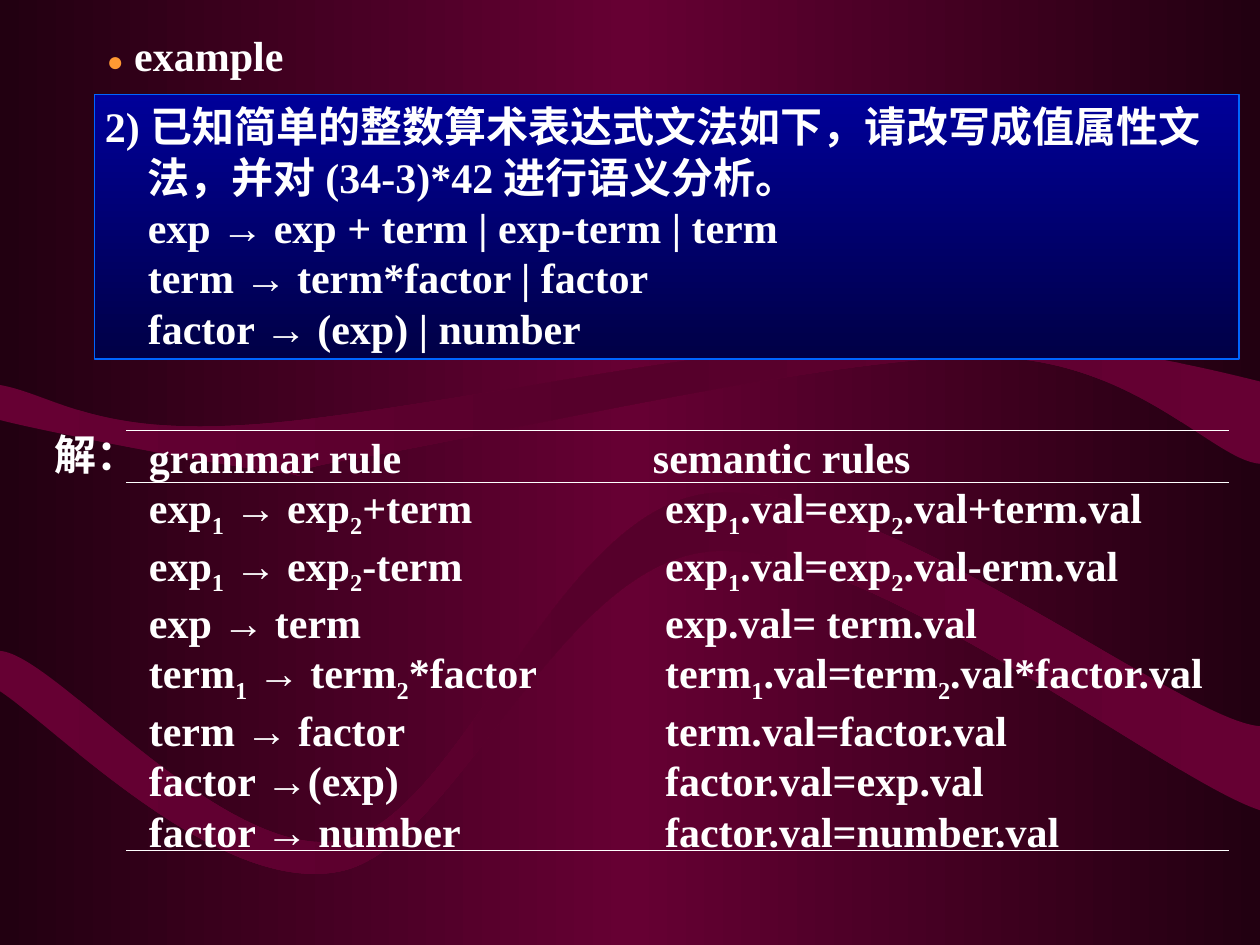
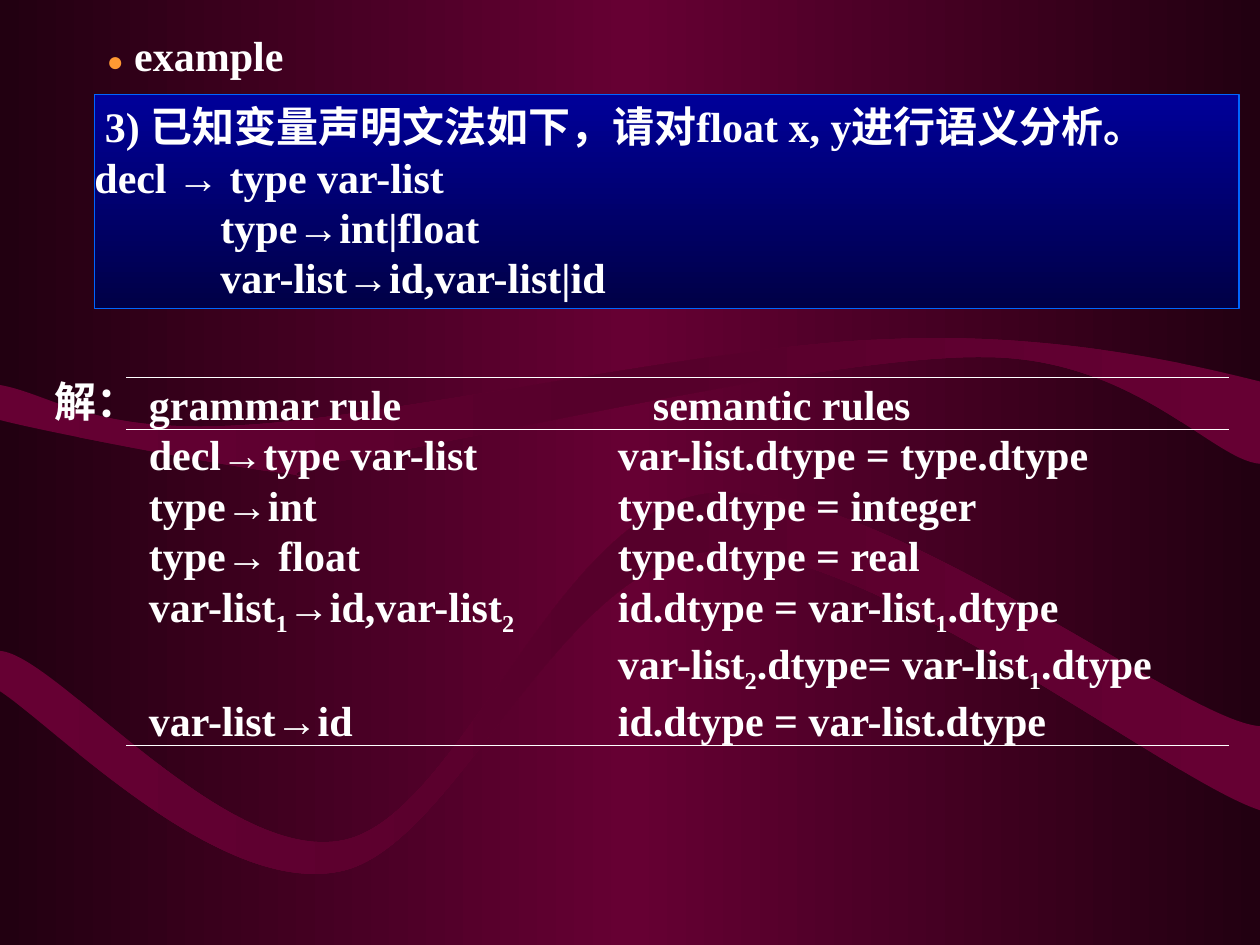
"""Build two slides of worked examples on attribute grammars."""
from itertools import groupby

from lxml import etree
from pptx import Presentation
from pptx import util as u
from pptx.dml.color import RGBColor
from pptx.enum import shapes, text
from pptx.oxml.ns import qn

COLORS = {
    "edge": "220011", "wine": "660033", "band": "56002B", "white": "FFFFFF",
    "bullet": "FF9933", "box_top": "000099", "box_bottom": "000046", "box_line": "0066FF",
}
FONT = "Times New Roman"
KINDS = {"₁": "sub", "₂": "sub", "→": "arrow", "●": "bullet"}
BAND_EDGES = [
    [
        [(0, 240), (27, 247), (126, 266), (160, 270), (194, 274), (137, 273), (203, 262),
         (270, 251), (475, 203), (562, 204), (648, 204), (693, 263), (720, 265)],
        [(720, 218), (684, 209), (602, 189), (505, 194), (408, 197), (221, 239), (137, 243),
         (53, 248), (29, 225), (0, 220)],
    ],
    [
        [(0, 395), (32, 416), (125, 512), (194, 498), (261, 485), (319, 321), (407, 315),
         (495, 309), (667, 446), (720, 463)],
        [(720, 415), (675, 412), (498, 271), (405, 282), (318, 292), (264, 465), (197, 480),
         (129, 495), (32, 374), (0, 372)],
    ],
]
EXAMPLES = [
    {
        "question": [
            ("2) 已知简单的整数算术表达式文法如下，请改写成值属性文法，并对 (34-3)*42 进行语义分析。", 30.5, -24.5),
            ("exp → exp + term | exp-term | term", 30.5, 0),
            ("term → term*factor | factor", 30.5, 0),
            ("factor → (exp) | number", 30.5, 0),
        ],
        "question_height": 151.2,
        "table_top": 246,
        "table_bottom": 486,
        "rule_tab": 295,
        "rules": [
            "exp₁ → exp₂+term\texp₁.val=exp₂.val+term.val",
            "exp₁ → exp₂-term\texp₁.val=exp₂.val-erm.val",
            "exp → term\texp.val= term.val",
            "term₁ → term₂*factor\tterm₁.val=term₂.val*factor.val",
            "term → factor\tterm.val=factor.val",
            "factor →(exp)\tfactor.val=exp.val",
            "factor → number\tfactor.val=number.val",
        ],
    },
    {
        "question": [
            ("3) 已知变量声明文法如下，请对float x, y进行语义分析。", 6, 0),
            ("decl → type var-list", 0, 0),
            ("type→int|float", 72, 0),
            ("var-list→id,var-list|id", 72, 0),
        ],
        "question_height": 122.4,
        "table_top": 215.7,
        "table_bottom": 426,
        "rule_tab": 268,
        "rules": [
            "decl→type var-list\tvar-list.dtype = type.dtype",
            "type→int\ttype.dtype = integer",
            "type→ float\ttype.dtype = real",
            "var-list₁→id,var-list₂\tid.dtype = var-list₁.dtype",
            "\tvar-list₂.dtype= var-list₁.dtype",
            "var-list→id\tid.dtype = var-list.dtype",
        ],
    },
]


def paint_gradient(fill, element, names, angle):
    """Fill with evenly spaced colour stops."""
    fill.gradient()
    fill.gradient_angle = angle
    stops = element.find(".//" + qn("a:gsLst"))
    for stop in list(stops):
        stops.remove(stop)
    for index, name in enumerate(names):
        stop = etree.SubElement(stops, qn("a:gs"), pos=str(100000 * index // (len(names) - 1)))
        etree.SubElement(stop, qn("a:srgbClr"), val=COLORS[name])


def write_lines(shape, lines, anchor, spacing=1.0):
    """Write (text, left margin, first-line indent) lines, lowering ₁ and ₂."""
    frame = shape.text_frame
    frame.word_wrap = True
    frame.vertical_anchor = anchor
    for index, (content, left, first) in enumerate(lines):
        paragraph = frame.paragraphs[0] if index == 0 else frame.add_paragraph()
        paragraph.alignment = text.PP_ALIGN.LEFT
        paragraph.line_spacing = spacing
        properties = paragraph._p.get_or_add_pPr()
        for name, length in (("marL", left), ("indent", first)):
            if length:
                properties.set(name, str(u.Pt(length)))
        for kind, letters in groupby(content, lambda letter: KINDS.get(letter, "plain")):
            run = paragraph.add_run()
            run.text = "".join(letters).replace("₁", "1").replace("₂", "2")
            run.font.size = u.Pt(16 if kind == "bullet" else 24)
            run.font.bold = True
            run.font.name = "Arial" if kind == "arrow" else FONT
            run.font.color.rgb = RGBColor.from_string(COLORS["bullet" if kind == "bullet" else "white"])
            if kind == "sub":
                run.font._element.set("baseline", "-25000")


presentation = Presentation()
presentation.slide_width, presentation.slide_height = u.Pt(720), u.Pt(540)

for example in EXAMPLES:
    slide = presentation.slides.add_slide(presentation.slide_layouts[6])
    paint_gradient(slide.background.fill, slide._element, ["edge", "wine", "edge"], 180)

    for lower, upper in BAND_EDGES:
        points = [(u.Pt(x), u.Pt(y)) for x, y in lower + upper]
        builder = slide.shapes.build_freeform(*points[0])
        builder.add_line_segments(points[1:], close=True)
        band = builder.convert_to_shape()
        segments = band._element.findall(".//" + qn("a:lnTo"))
        for controls in (segments[:len(lower) - 1], segments[len(lower):]):
            for start in range(0, len(controls), 3):
                curve = etree.Element(qn("a:cubicBezTo"))
                controls[start].addprevious(curve)
                for segment in controls[start:start + 3]:
                    curve.append(segment[0])
                    segment.getparent().remove(segment)
        band.shadow.inherit = False
        band.line.fill.background()
        paint_gradient(band.fill, band._element, ["wine", "band", "wine"], 180)

    question = slide.shapes.add_shape(
        shapes.MSO_SHAPE.RECTANGLE, u.Pt(54), u.Pt(54), u.Pt(654), u.Pt(example["question_height"]))
    question.shadow.inherit = False
    question.line.color.rgb = RGBColor.from_string(COLORS["box_line"])
    question.line.width = u.Pt(0.75)
    paint_gradient(question.fill, question._element, ["box_top", "box_bottom"], 270)
    question.text_frame.margin_left = 0
    write_lines(question, example["question"], text.MSO_ANCHOR.TOP)

    title = slide.shapes.add_textbox(u.Pt(54), u.Pt(12), u.Pt(612), u.Pt(30))
    write_lines(title, [("● example", 0, 0)], text.MSO_ANCHOR.MIDDLE, 1.3)

    top, bottom = example["table_top"], example["table_bottom"]
    solution = slide.shapes.add_group_shape()
    rules = solution.shapes.add_textbox(u.Pt(78), u.Pt(top - 3), u.Pt(636), u.Pt(bottom - top + 10))
    rows = ["grammar rule\tsemantic rules"] + example["rules"]
    write_lines(rules, [(row, 0, 0) for row in rows], text.MSO_ANCHOR.TOP)
    for index, paragraph in enumerate(rules.text_frame.paragraphs):
        tab_list = etree.SubElement(paragraph._p.get_or_add_pPr(), qn("a:tabLst"))
        position = u.Pt(example["rule_tab"] if index else 288)
        etree.SubElement(tab_list, qn("a:tab"), pos=str(position), algn="l")

    label = solution.shapes.add_textbox(u.Pt(24), u.Pt(top - 12), u.Pt(72), u.Pt(42))
    write_lines(label, [("解：", 0, 0)], text.MSO_ANCHOR.MIDDLE, 1.3)

    for y in (top, top + 29.7, bottom):
        line = solution.shapes.add_connector(
            shapes.MSO_CONNECTOR.STRAIGHT, u.Pt(72), u.Pt(y), u.Pt(702), u.Pt(y))
        line.line.color.rgb = RGBColor.from_string(COLORS["white"])
        line.line.width = u.Pt(0.75)
        etree.SubElement(line._element.spPr, qn("a:effectLst"))

presentation.save("out.pptx")
